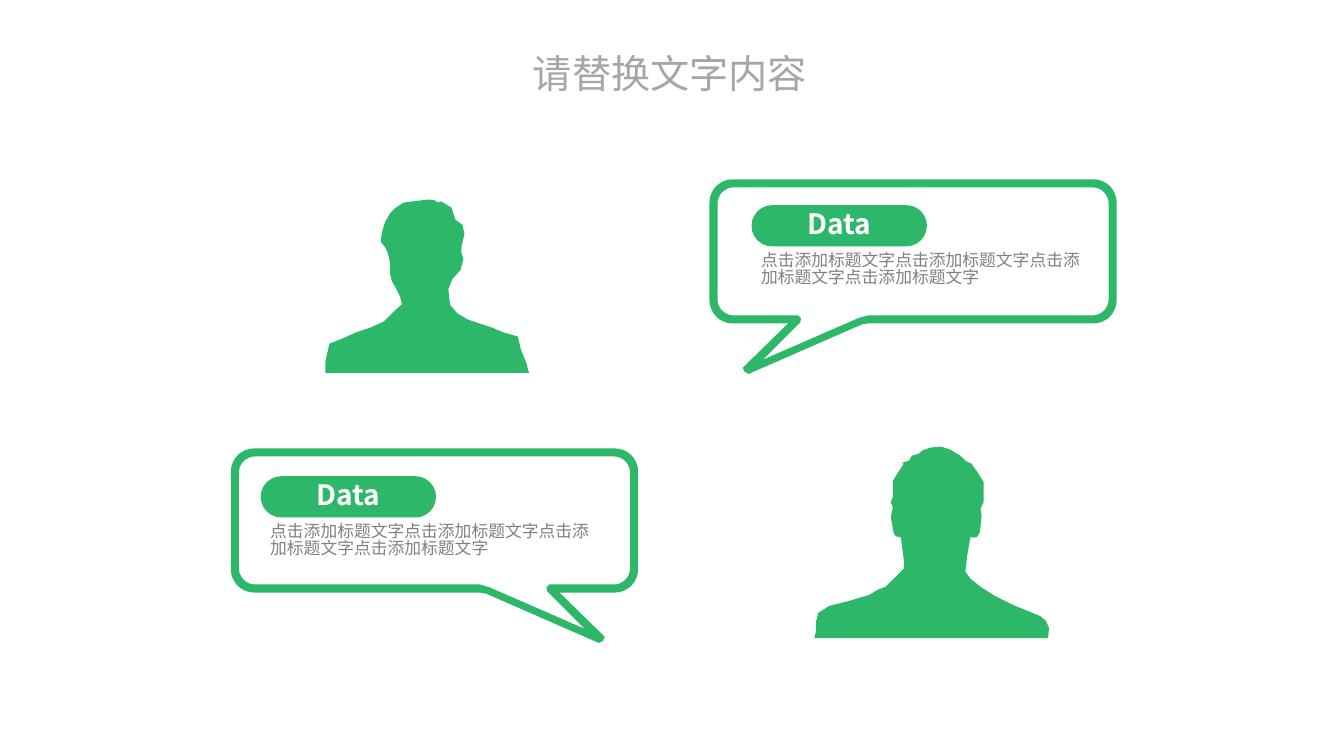
import math
from dataclasses import dataclass

from lxml import etree
from pptx import Presentation
from pptx.dml.color import RGBColor
from pptx.enum.shapes import MSO_SHAPE
from pptx.enum.text import MSO_ANCHOR, PP_ALIGN
from pptx.oxml.ns import qn
from pptx.util import Cm, Pt

GREEN = RGBColor(0x2C, 0xB8, 0x68)
WHITE = RGBColor(0xFF, 0xFF, 0xFF)
BODY_GREY = RGBColor(0x80, 0x80, 0x80)
TITLE_GREY = RGBColor(0xA6, 0xA6, 0xA6)
FONT = "Noto Sans CJK SC"
ROUND_RECT = MSO_SHAPE.ROUNDED_RECTANGLE
CENTER, JUSTIFY, LEFT = PP_ALIGN.CENTER, PP_ALIGN.JUSTIFY, PP_ALIGN.LEFT
MIDDLE = MSO_ANCHOR.MIDDLE

UNIT_CM = 0.0254  # one step of the outline grids
FINE = 10         # subdivisions of a step, so that arcs stay smooth
BUBBLE_W, BUBBLE_H = 404, 143
Points = list[tuple[float, float]]


@dataclass
class Person:
    left: float
    top: float
    outline: Points


@dataclass
class Bubble:
    left: float
    top: float
    mirrored: bool
    pill_left: float
    pill_top: float
    heading: str
    body: str


# Outlines, in grid steps from the top left of each figure
SHORT_HAIR: Points = [
    (202, 177), (199, 166), (194, 154), (191, 141), (177, 137), (165, 132),
    (153, 128), (141, 124), (131, 118), (124, 110), (123, 104), (122, 94),
    (126, 84), (134, 75), (137, 64), (135, 58), (135, 52), (138, 39),
    (136, 30), (129, 25), (125, 13), (115, 7), (111, 8), (109, 6), (103, 5),
    (94, 6), (78, 8), (70, 13), (64, 19), (59, 28), (56, 38), (55, 47),
    (59, 52), (62, 58), (64, 67), (64, 78), (66, 86), (70, 93), (74, 101),
    (76, 109), (69, 115), (58, 126), (45, 132), (30, 137), (17, 143),
    (4, 148), (2, 157), (0, 166), (0, 177)]
BROAD_SHOULDERS: Points = [
    (2, 184), (0, 191), (232, 191), (233, 181), (230, 174), (224, 169),
    (197, 158), (179, 149), (165, 140), (155, 132), (150, 125), (152, 108),
    (155, 91), (161, 91), (164, 87), (165, 81), (166, 69), (165, 63),
    (168, 56), (168, 36), (165, 31), (161, 25), (156, 18), (150, 15),
    (145, 10), (135, 4), (126, 1), (115, 2), (107, 5), (104, 8), (97, 10),
    (94, 15), (87, 17), (89, 18), (83, 27), (78, 35), (78, 51), (76, 56),
    (78, 61), (76, 71), (79, 87), (81, 90), (86, 91), (89, 114), (89, 122),
    (84, 127), (71, 140), (63, 143), (55, 148), (35, 154), (15, 159),
    (4, 166), (2, 174)]
OUTER_TAIL: Points = [(157, 143), (151, 144), (39, 193), (35, 191),
                      (33, 187), (35, 185), (78, 143)]
INNER_TAIL: Points = [(157, 135), (147, 138), (53, 179), (90, 142),
                      (91, 138), (88, 135)]

BODY = "点击添加标题文字" * 4
PEOPLE = [Person(8.2, 4.9, SHORT_HAIR), Person(20.52, 11.23, BROAD_SHOULDERS)]
BUBBLES = [Bubble(17.88, 4.52, False, 18.94, 5.17, "Data", BODY),
           Bubble(5.82, 11.3, True, 6.57, 12.0, "Data", BODY)]


def paint(sp) -> None:
    sp.shadow.inherit = False
    sp.fill.solid()
    sp.fill.fore_color.rgb = GREEN
    sp.line.fill.background()


def draw_outline(s, left: float, top: float, contours: list[Points]) -> None:
    builder = None
    for contour in contours:
        points = [(x * FINE, y * FINE) for x, y in contour]
        if builder is None:
            builder = s.shapes.build_freeform(
                *points[0], scale=Cm(UNIT_CM) / FINE)
        else:
            builder.move_to(*points[0])
        builder.add_line_segments(points[1:], close=True)
    paint(builder.convert_to_shape(Cm(left), Cm(top)))


def bubble_contour(inset: int, radius: int, tail: Points,
                   mirrored: bool) -> Points:
    near, low = inset + radius, BUBBLE_H - inset - radius
    far = BUBBLE_W - near
    corners = [(near, near, 180), (far, near, 270), (far, low, 0),
               (near, low, 90)]
    points: Points = []
    for cx, cy, start in corners:
        if start == 90:
            points += tail
        for step in range(9):
            angle = math.radians(start + step * 90 / 8)
            points.append((cx + radius * math.cos(angle),
                           cy + radius * math.sin(angle)))
    return [(BUBBLE_W - x, y) for x, y in points] if mirrored else points


def write(tf, text: str, size: int, color: RGBColor, align: PP_ALIGN,
          spacing: float, bold: bool = False) -> None:
    p = tf.paragraphs[0]
    p.alignment = align
    p.line_spacing = spacing
    r = p.add_run()
    r.text = text
    r.font.size = Pt(size)
    r.font.bold = bold
    r.font.color.rgb = color
    r.font.name = FONT
    etree.SubElement(r.font._element, qn("a:ea"), typeface=FONT)


def set_margins(tf, side: float, end: float) -> None:
    tf.margin_left = tf.margin_right = Cm(side)
    tf.margin_top = tf.margin_bottom = Cm(end)


def draw_bubble(s, bubble: Bubble) -> None:
    draw_outline(s, bubble.left, bubble.top, [
        bubble_contour(0, 23, OUTER_TAIL, bubble.mirrored),
        bubble_contour(8, 16, INNER_TAIL, bubble.mirrored)])

    # Heading pill
    pill = s.shapes.add_shape(ROUND_RECT, Cm(bubble.pill_left),
                              Cm(bubble.pill_top), Cm(4.42), Cm(1.04))
    pill.adjustments[0] = 0.5
    paint(pill)
    tf = pill.text_frame
    set_margins(tf, 0, 0)
    tf.vertical_anchor = MIDDLE
    write(tf, bubble.heading, 20, WHITE, CENTER, 0.84, bold=True)

    # Body text
    box = s.shapes.add_textbox(Cm(bubble.pill_left - 0.06),
                               Cm(bubble.pill_top + 1.05), Cm(8.76), Cm(1.35))
    tf = box.text_frame
    tf.word_wrap = True
    set_margins(tf, 0.3, 0.15)
    write(tf, bubble.body, 12, BODY_GREY, LEFT, 0.84)


def main() -> None:
    prs = Presentation()
    prs.slide_width, prs.slide_height = Cm(33.87), Cm(19.05)
    s = prs.slides.add_slide(prs.slide_layouts[6])

    # People and their speech bubbles
    for person in PEOPLE:
        draw_outline(s, person.left, person.top, [person.outline])
    for bubble in BUBBLES:
        draw_bubble(s, bubble)

    # Title
    title = s.shapes.add_textbox(Cm(13.18), Cm(1.07), Cm(7.49), Cm(1.6))
    title.text_frame.word_wrap = False
    write(title.text_frame, "请替换文字内容", 28, TITLE_GREY, JUSTIFY, 1.05)

    prs.save("out.pptx")


if __name__ == "__main__":
    main()
